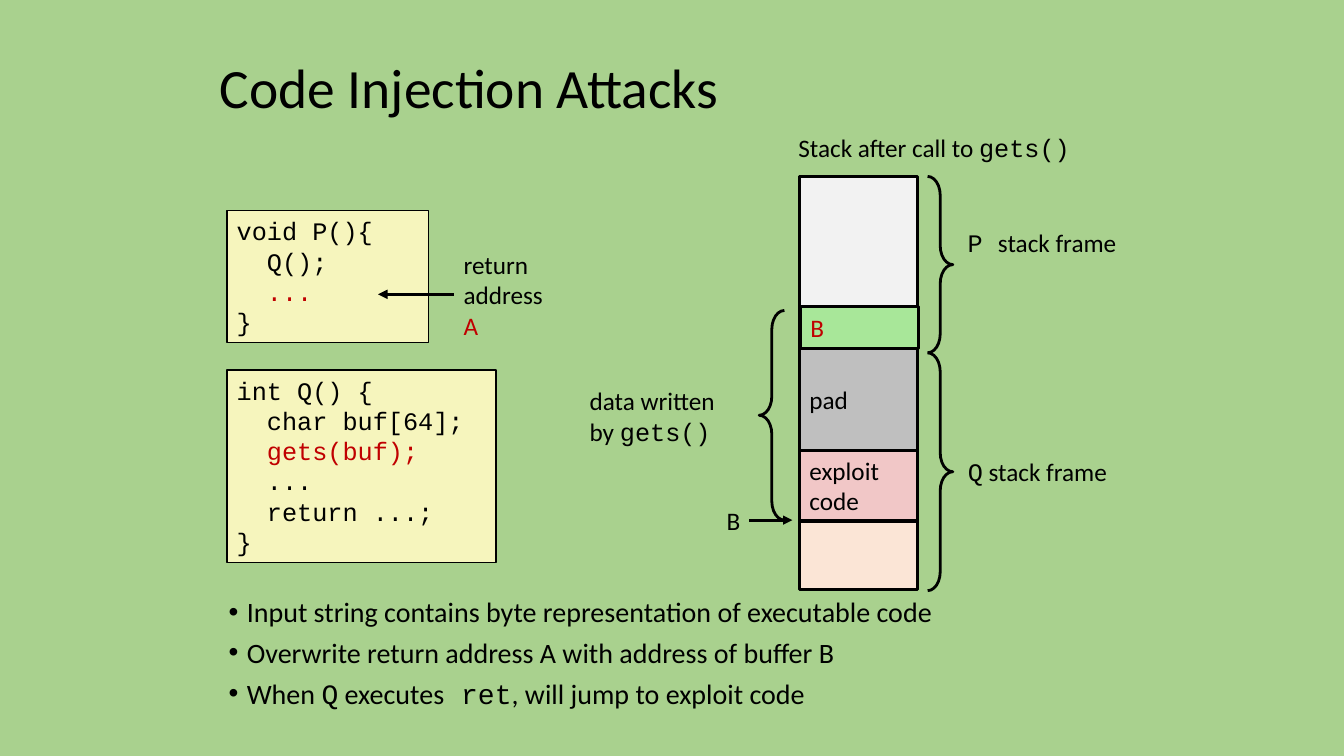
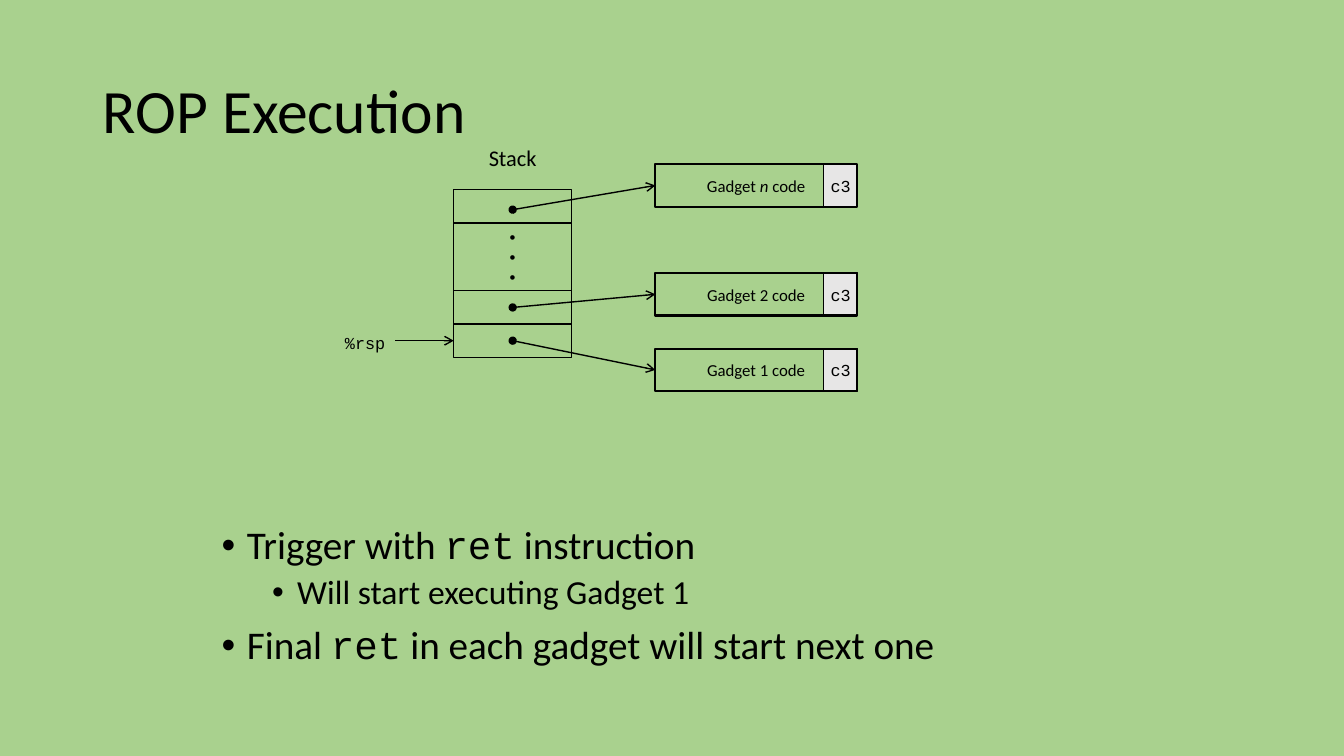
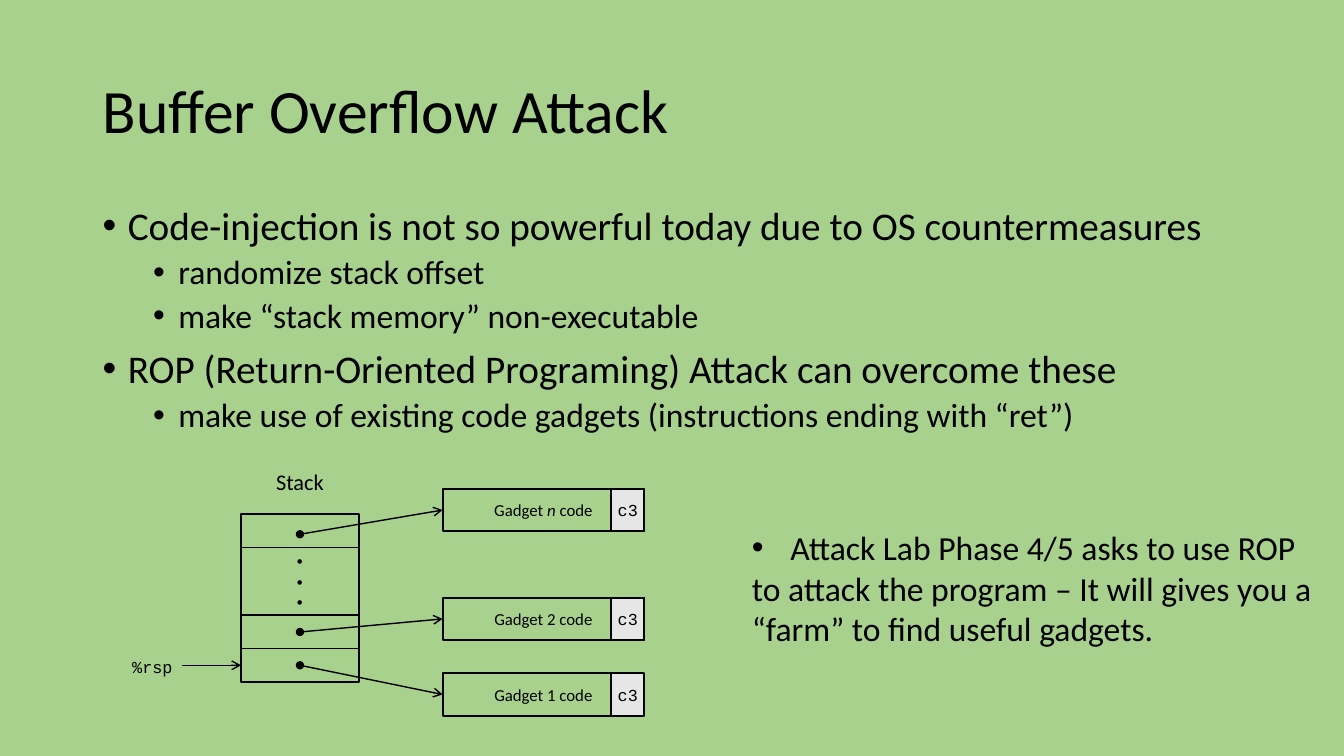
"""Build three slides on code injection and return-oriented programming."""
from dataclasses import dataclass, replace

from lxml import etree
from pptx import Presentation
from pptx.dml.color import RGBColor
from pptx.enum.shapes import MSO_CONNECTOR, MSO_SHAPE
from pptx.enum.text import MSO_ANCHOR, MSO_AUTO_SIZE, PP_ALIGN
from pptx.oxml.ns import qn
from pptx.util import Inches, Pt

RECTANGLE, BRACE = MSO_SHAPE.RECTANGLE, MSO_SHAPE.LEFT_BRACE
STRAIGHT = MSO_CONNECTOR.STRAIGHT
TOP, MIDDLE = MSO_ANCHOR.TOP, MSO_ANCHOR.MIDDLE
LEFT, CENTER, RIGHT = PP_ALIGN.LEFT, PP_ALIGN.CENTER, PP_ALIGN.RIGHT
NO_FIT, GROW = MSO_AUTO_SIZE.NONE, MSO_AUTO_SIZE.SHAPE_TO_FIT_TEXT


@dataclass(frozen=True)
class Theme:
    """Colours, fonts and type sizes of the deck."""
    background: str = "A9D18E"
    ink: str = "000000"
    accent: str = "C00000"
    code_fill: str = "F6F5BD"
    caller_fill: str = "F2F2F2"
    callee_fill: str = "FBE5D6"
    address_fill: str = "A8E799"
    pad_fill: str = "BFBFBF"
    exploit_fill: str = "F1C7C7"
    return_fill: str = "E7E6E6"
    sans: str = "Calibri"
    mono: str = "Courier New"
    dot: str = "Arial"
    title: float = 44
    small_title: float = 39.6
    body: float = 28
    detail: float = 24
    compact: float = 20
    label: float = 18
    caption: float = 16
    small: float = 12


THEME = Theme()


@dataclass(frozen=True)
class Box:
    """A rectangle in inches."""
    left: float
    top: float
    width: float
    height: float


@dataclass(frozen=True)
class Span:
    """Text with one character format."""
    text: str
    font: str = THEME.sans
    color: str = THEME.ink
    italic: bool = False


@dataclass(frozen=True)
class Para:
    """A paragraph with its own layout."""
    spans: tuple[Span, ...]
    size: float = THEME.label
    align: PP_ALIGN = LEFT
    level: int = 0
    margin: float = 0
    indent: float = 0
    spacing: float = 1.0
    before: float = 0
    bullet: bool = False


@dataclass(frozen=True)
class Region:
    """A filled part of the stack with its label."""
    box: Box
    fill: str
    paras: tuple[Para, ...] = ()


@dataclass(frozen=True)
class Gadget:
    """A gadget's top and its arrow's start, relative to the stack top."""
    name: tuple[Span, ...]
    top: float
    start: float


def mono(text: str, color: str = THEME.ink) -> Span:
    """Return a fixed-width span."""
    return Span(text, THEME.mono, color)


def plain(text: str, **layout) -> Para:
    """Return a paragraph of one sans span."""
    return Para((Span(text),), **layout)


def code(text: str, indented: bool = False, color: str = THEME.ink) -> Para:
    """Return one line of code, indented by two characters if asked."""
    return Para((mono(text, color),), margin=0.3 if indented else 0)


def point(*spans: Span) -> Para:
    """Return a first-level bullet."""
    return Para(spans, THEME.body, margin=0.25, indent=-0.25,
                spacing=0.9, before=10, bullet=True)


def detail(text: str) -> Para:
    """Return a second-level bullet."""
    return replace(point(Span(text)), size=THEME.detail, level=1, margin=0.75, before=5)


def compact(*spans: Span) -> Para:
    """Return a smaller, tighter bullet."""
    return replace(point(*spans), size=THEME.compact, margin=0.18, spacing=0.8)


def write(frame, paras: tuple[Para, ...], *, anchor: MSO_ANCHOR = TOP, wrap: bool = True,
          side: float = 0.1, edge: float = 0.05) -> None:
    """Fill a text frame with formatted paragraphs."""
    frame.word_wrap = wrap
    frame.auto_size = NO_FIT if wrap else GROW
    frame.vertical_anchor = anchor
    frame.margin_left = frame.margin_right = Inches(side)
    frame.margin_top = frame.margin_bottom = Inches(edge)
    for index, item in enumerate(paras):
        para = frame.add_paragraph() if index else frame.paragraphs[0]
        para.alignment, para.level = item.align, item.level
        para.line_spacing, para.space_before = item.spacing, Pt(item.before)
        properties = para._p.get_or_add_pPr()
        properties.set("marL", str(Inches(item.margin)))
        properties.set("indent", str(Inches(item.indent)))
        if item.bullet:
            etree.SubElement(properties, qn("a:buFont")).set("typeface", THEME.dot)
            etree.SubElement(properties, qn("a:buChar")).set("char", "•")
        for span in item.spans:
            run = para.add_run()
            run.text = span.text
            run.font.name, run.font.size = span.font, Pt(item.size)
            run.font.italic = span.italic
            run.font.color.rgb = RGBColor.from_string(span.color)


def place(box: Box) -> tuple:
    """Return a box as lengths."""
    return Inches(box.left), Inches(box.top), Inches(box.width), Inches(box.height)


def add_text(shapes, box: Box, *paras: Para, **layout) -> None:
    """Add a text box."""
    write(shapes.add_textbox(*place(box)).text_frame, paras, **layout)


def add_shape(shapes, box: Box, *paras: Para, kind: MSO_SHAPE = RECTANGLE,
              fill: str = "", weight: float = 1, **layout):
    """Add an outlined shape with an optional fill and text."""
    shape = shapes.add_shape(kind, *place(box))
    shape.shadow.inherit = False
    if fill:
        shape.fill.solid()
        shape.fill.fore_color.rgb = RGBColor.from_string(fill)
    else:
        shape.fill.background()
    shape.line.color.rgb = RGBColor.from_string(THEME.ink)
    shape.line.width = Pt(weight)
    if paras:
        write(shape.text_frame, paras, **layout)
    return shape


def add_arrow(shapes, start: tuple[float, float], end: tuple[float, float], *,
              weight: float = 1, head: str = "none", tail: str = "arrow") -> None:
    """Add a straight arrow."""
    arrow = shapes.add_connector(STRAIGHT, *map(Inches, start + end))
    arrow.line.color.rgb = RGBColor.from_string(THEME.ink)
    arrow.line.width = Pt(weight)
    properties = arrow.element.spPr
    outline = properties.find(qn("a:ln"))
    etree.SubElement(outline, qn("a:headEnd")).set("type", head)
    etree.SubElement(outline, qn("a:tailEnd")).set("type", tail)
    etree.SubElement(properties, qn("a:effectLst"))


def add_brace(shapes, box: Box, rotation: float = 0) -> None:
    """Add a curly brace, opening to the right unless rotated."""
    brace = add_shape(shapes, box, kind=BRACE, weight=2)
    brace.adjustments[0], brace.adjustments[1] = 0.75, 0.5
    brace.rotation = rotation


def add_page(deck, title: str, box: Box = Box(0.92, 0.4, 11.5, 1.45),
             size: float = THEME.title):
    """Add a title-only slide and format its title."""
    page = deck.slides.add_slide(deck.slide_layouts[5])
    holder = page.shapes.title
    holder.left, holder.top, holder.width, holder.height = place(box)
    write(holder.text_frame, (plain(title, size=size, spacing=0.9),), anchor=MIDDLE)
    return page


GADGETS = (
    Gadget((Span("Gadget 1 code"),), 1.58, 1.5),
    Gadget((Span("Gadget 2 code"),), 0.83, 1.17),
    Gadget((Span("Gadget "), Span("n", italic=True), Span(" code")), -0.25, 0.2),
)


def add_gadget_stack(page, left: float, top: float) -> None:
    """Draw a stack whose slots point at gadgets."""
    slot, width, height = 1 / 3, 1.17, 0.42
    pointer = top + 1.5
    shapes = page.shapes.add_group_shape().shapes
    dots = (Para((Span("•", THEME.dot),), THEME.small, CENTER),) * 3
    for row, rows, paras in ((4, 1, ()), (3, 1, ()), (1, 2, dots), (0, 1, ())):
        add_shape(shapes, Box(left, top + row * slot, width, rows * slot), *paras,
                  anchor=MIDDLE, edge=0)
    for gadget in GADGETS:
        y = top + gadget.top
        add_shape(shapes, Box(left + 3.67, y, slot, height),
                  Para((mono("c3"),), THEME.small, CENTER),
                  fill=THEME.return_fill, anchor=MIDDLE, side=0)
        add_shape(shapes, Box(left + 2, y, 2, height),
                  Para(gadget.name, THEME.small, CENTER), weight=1.5, anchor=MIDDLE)
        add_arrow(shapes, (left + width / 2, top + gadget.start),
                  (left + 2, y + height / 2), head="oval")
    add_arrow(shapes, (left - 0.58, pointer), (left, pointer))
    add_text(shapes, Box(left, top - 0.5, width, 0.37),
             plain("Stack", size=THEME.caption, align=CENTER))
    add_text(page.shapes, Box(left - 1.75, top + 1.35, width, slot),
             Para((mono("%rsp"),), THEME.small, RIGHT), anchor=MIDDLE)


REGIONS = (
    Region(Box(7.93, 1.75, 1.17, 1.7), THEME.caller_fill),
    Region(Box(7.93, 3.45, 1.17, 2.4), THEME.callee_fill),
    Region(Box(7.93, 4.46, 1.17, 0.71), THEME.exploit_fill,
           (plain("exploit"), plain("code"))),
    Region(Box(7.93, 3.45, 1.17, 1.02), THEME.pad_fill, (plain("pad"),)),
    Region(Box(7.94, 3.04, 1.17, 0.42), THEME.address_fill,
           (Para((Span("B", color=THEME.accent),)),)),
)


def build_injection(deck) -> None:
    """Build the code injection slide."""
    page = add_page(deck, "Code Injection Attacks", Box(2.08, 0.58, 9.08, 0.63),
                    THEME.small_title)
    shapes = page.shapes
    add_text(shapes, Box(2.17, 5.88, 9.03, 1.25),
             compact(Span("Input string contains byte representation of executable code")),
             compact(Span("Overwrite return address A with address of buffer B")),
             compact(Span("When "), mono("Q"), Span(" executes"), mono(" ret"),
                     Span(", will jump to exploit code")),
             anchor=MIDDLE)
    add_shape(shapes, Box(2.25, 3.67, 2.67, 1.91),
              code("int Q() {"), code("char buf[64];", True),
              code("gets(buf);", True, THEME.accent), code("...", True),
              code("return ...;", True), code("}"), fill=THEME.code_fill)
    add_shape(shapes, Box(2.25, 2.09, 2, 1.31),
              code("void P(){"), code("Q();", True),
              code("...", True, THEME.accent), code("}"), fill=THEME.code_fill)
    for region in REGIONS:
        add_shape(shapes, region.box, *region.paras, fill=region.fill, weight=2.25,
                  anchor=MIDDLE)
    labels = (
        (Box(4.5, 2.42, 1, 1.01), (plain("return"), plain("address"),
                                   Para((Span("A", color=THEME.accent),)))),
        (Box(7.82, 1.26, 2.93, 0.4),
         (Para((Span("Stack after call to "), mono("gets()"))),)),
        (Box(9.5, 2.21, 1.7, 0.4), (Para((mono("P "), Span("stack frame"))),)),
        (Box(9.5, 4.48, 1.61, 0.4), (Para((mono("Q"), Span(" stack frame"))),)),
        (Box(7.11, 4.96, 0.34, 0.4), (plain("B"),)),
        (Box(5.75, 3.77, 1.5, 0.71),
         (plain("data written"), Para((Span("by "), mono("gets()"))))),
    )
    for box, paras in labels:
        add_text(shapes, box, *paras, anchor=MIDDLE, wrap=False)
    for start, end in (((4.5, 2.92), (3.75, 2.92)), ((7.43, 5.16), (7.86, 5.16))):
        add_arrow(shapes, start, end, weight=2.25, tail="triangle")
    add_brace(shapes, Box(9.2, 1.75, 0.25, 1.75), 180)
    add_brace(shapes, Box(9.2, 3.5, 0.25, 2.36), 180)
    add_brace(shapes, Box(7.53, 3.08, 0.25, 2.08))


def build_execution(deck) -> None:
    """Build the ROP execution slide."""
    page = add_page(deck, "ROP Execution")
    add_text(page.shapes, Box(2.1, 5.17, 8.64, 1.76),
             point(Span("Trigger with "), mono("ret"), Span(" instruction")),
             detail("Will start executing Gadget 1"),
             point(Span("Final "), mono("ret"),
                   Span(" in each gadget will start next one")))
    add_gadget_stack(page, 4.5, 1.88)


def build_overflow(deck) -> None:
    """Build the buffer overflow slide."""
    page = add_page(deck, "Buffer Overflow Attack")
    add_text(page.shapes, Box(0.92, 2, 11.5, 4.76),
             point(Span("Code-injection is not so powerful today due to OS countermeasures")),
             detail("randomize stack offset"),
             detail("make “stack memory” non-executable"),
             point(Span("ROP (Return-Oriented Programing) Attack can overcome these")),
             detail("make use of existing code gadgets (instructions ending with “ret”)"))
    add_gadget_stack(page, 2.39, 5.1)
    add_text(page.shapes, Box(7.36, 5.18, 5.97, 1.31),
             plain("Attack Lab Phase 4/5 asks to use ROP", size=THEME.detail,
                   margin=0.38, indent=-0.38, bullet=True),
             plain("to attack the program – It will gives you a “farm” to find "
                   "useful gadgets.", size=THEME.detail))


def main() -> None:
    """Build and save the deck."""
    deck = Presentation()
    deck.slide_width, deck.slide_height = Inches(13.33), Inches(7.5)
    background = deck.slide_master.background.fill
    background.solid()
    background.fore_color.rgb = RGBColor.from_string(THEME.background)
    build_injection(deck)
    build_execution(deck)
    build_overflow(deck)
    deck.save("out.pptx")


main()
